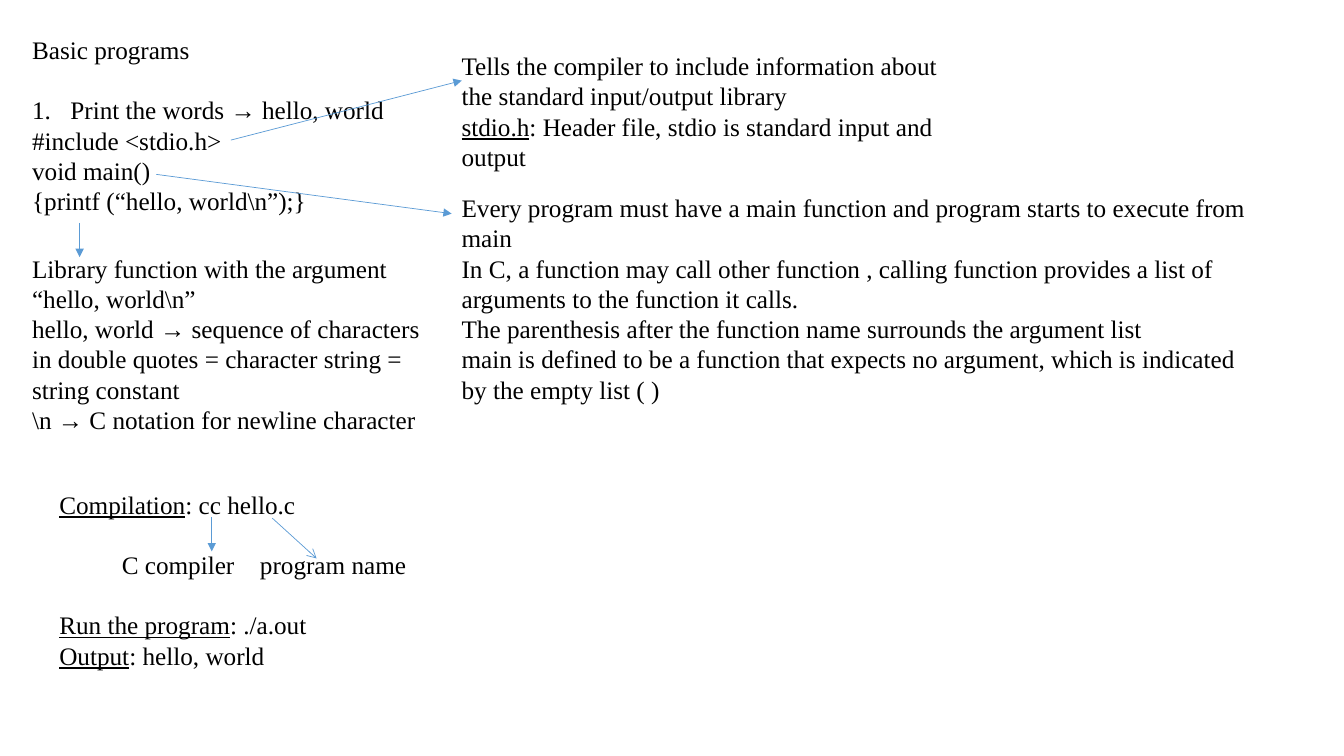
from lxml import etree
from pptx import Presentation, util as u
from pptx.dml.color import RGBColor
from pptx.enum import shapes, text
from pptx.oxml.ns import qn

PX = 9144
FONT = "Times New Roman"
INK = RGBColor(0x00, 0x00, 0x00)
ARROW_BLUE = RGBColor(0x5B, 0x9B, 0xD5)
BLANK_LINE = u.Pt(21.6)


def px(length):
    return u.Emu(length * PX)


def add_frame(slide, box):
    frame = slide.shapes.add_textbox(*map(px, box)).text_frame
    frame.word_wrap = True
    frame.auto_size = text.MSO_AUTO_SIZE.SHAPE_TO_FIT_TEXT
    return frame


def write(frame, words, term="", gap=False, numbered=False, tabs=()):
    first = frame.paragraphs[0]
    line = frame.add_paragraph() if first.runs else first
    if gap:
        line.space_before = BLANK_LINE
    properties = line._p.get_or_add_pPr()
    if numbered:
        properties.set("marL", str(px(38)))
        properties.set("indent", str(px(-38)))
        etree.SubElement(properties, qn("a:buAutoNum"), type="arabicPeriod")
    if tabs:
        stops = etree.SubElement(properties, qn("a:tabLst"))
        for stop in tabs:
            etree.SubElement(stops, qn("a:tab"), pos=str(px(stop)), algn="l")
    for part, underlined in ((term, True), (words, False)):
        if part:
            run = line.add_run()
            run.text = part
            run.font.name = FONT
            run.font.size = u.Pt(18)
            run.font.color.rgb = INK
            run.font.underline = underlined


def add_arrow(slide, box, start, end, head="triangle"):
    left, top = box[:2]
    arrow = slide.shapes.add_connector(
        shapes.MSO_CONNECTOR.STRAIGHT,
        px(left + start[0]), px(top + start[1]),
        px(left + end[0]), px(top + end[1]))
    arrow.line.color.rgb = ARROW_BLUE
    arrow.line.width = u.Pt(0.5)
    etree.SubElement(arrow.line._get_or_add_ln(), qn("a:tailEnd"), type=head)
    etree.SubElement(arrow._element.spPr, qn("a:effectLst"))


def add_program(slide, box):
    frame = add_frame(slide, box)
    write(frame, "Basic programs")
    write(frame, "Print the words → hello, world", gap=True, numbered=True)
    for code in ("#include <stdio.h>", "void main()",
                 "{printf (“hello, world\\n”);}"):
        write(frame, code)
    add_arrow(slide, box, (57, 192), (57, 226))
    add_arrow(slide, box, (207, 110), (436, 51))
    add_arrow(slide, box, (133, 144), (426, 183))


def add_printf_note(slide, box):
    frame = add_frame(slide, box)
    write(frame, "Library function with the argument “hello, world\\n”")
    write(frame, "hello, world → sequence of characters in double quotes "
                 "= character string = string constant")
    write(frame, "\\n → C notation for newline character")


def add_include_note(slide, box):
    frame = add_frame(slide, box)
    write(frame, "Tells the compiler to include information about "
                 "the standard input/output library")
    write(frame, ": Header file, stdio is standard input and output",
          term="stdio.h")


def add_main_note(slide, box):
    frame = add_frame(slide, box)
    write(frame, "Every program must have a main function and program "
                 "starts to execute from main")
    write(frame, "In C, a function may call other function , calling function "
                 "provides a list of arguments to the function it calls.")
    write(frame, "The parenthesis after the function name surrounds "
                 "the argument list")
    write(frame, "main is defined to be a function that expects no argument, "
                 "which is indicated by the empty list ( )")


def add_compilation(slide, box):
    frame = add_frame(slide, box)
    write(frame, ": cc hello.c", term="Compilation")
    write(frame, "\tC compiler\tprogram name", gap=True, tabs=(62, 199))
    write(frame, ": ./a.out", term="Run the program", gap=True)
    write(frame, ": hello, world", term="Output")
    add_arrow(slide, box, (161, 33), (161, 67))
    add_arrow(slide, box, (221, 34), (265, 74), head="arrow")


def main():
    deck = Presentation()
    deck.slide_width, deck.slide_height = px(1333), px(750)
    slide = deck.slides.add_slide(deck.slide_layouts[6])
    add_program(slide, (22, 29, 400, 192))
    add_main_note(slide, (448, 186, 809, 222))
    add_include_note(slide, (448, 45, 496, 131))
    add_compilation(slide, (49, 480, 373, 222))
    add_printf_note(slide, (22, 246, 414, 192))
    deck.save("out.pptx")


if __name__ == "__main__":
    main()
